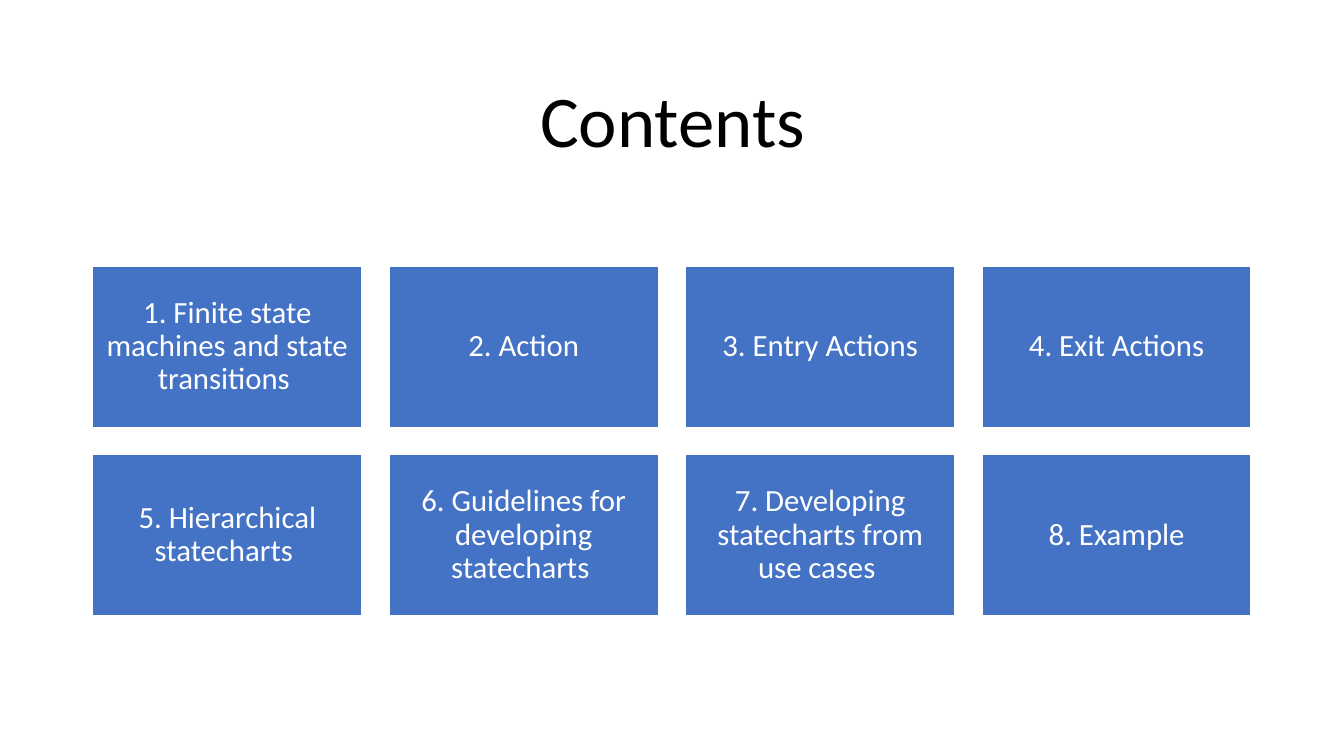
import pptx
import pptx.dml.color
import pptx.enum.shapes
import pptx.enum.text
import pptx.util

Inches = pptx.util.Inches
Pt = pptx.util.Pt
RGBColor = pptx.dml.color.RGBColor

BLACK = RGBColor(0x00, 0x00, 0x00)
WHITE = RGBColor(0xFF, 0xFF, 0xFF)
BLUE = RGBColor(0x44, 0x72, 0xC4)

TOPICS = [
    "1. Finite state machines and state transitions ",
    "2. Action",
    "3. Entry Actions",
    "4. Exit Actions",
    "5. Hierarchical statecharts ",
    "6. Guidelines for developing statecharts ",
    "7. Developing statecharts from use cases ",
    "8. Example",
]
COLUMNS = 4
LEFT, TOP = 0.92, 2.64
CARD_WIDTH, CARD_HEIGHT, GAP = 2.67, 1.6, 0.27


class SlideBuilder:
    font = "Calibri"

    def __init__(self, slide):
        self.slide = slide

    def set_text(self, sp, text, size, color):
        tf = sp.text_frame
        tf.word_wrap = True
        tf.auto_size = pptx.enum.text.MSO_AUTO_SIZE.NONE
        tf.vertical_anchor = pptx.enum.text.MSO_ANCHOR.MIDDLE
        tf.text = text
        p = tf.paragraphs[0]
        p.alignment = pptx.enum.text.PP_ALIGN.CENTER
        p.line_spacing = 0.9
        p.font.name = self.font
        p.font.size = Pt(size)
        p.font.color.rgb = color
        return tf

    def title(self, text, left, top, width, height):
        sp = self.slide.shapes.title
        sp.left, sp.top = Inches(left), Inches(top)
        sp.width, sp.height = Inches(width), Inches(height)
        self.set_text(sp, text, 52, BLACK)

    def card(self, text, left, top, width, height):
        sp = self.slide.shapes.add_shape(
            pptx.enum.shapes.MSO_SHAPE.RECTANGLE,
            Inches(left), Inches(top), Inches(width), Inches(height))
        sp.shadow.inherit = False
        sp.fill.solid()
        sp.fill.fore_color.rgb = BLUE
        sp.line.color.rgb = WHITE
        sp.line.width = Pt(1)
        tf = self.set_text(sp, text, 22, WHITE)
        tf.margin_left = tf.margin_right = Inches(0.09)
        tf.margin_top = tf.margin_bottom = Inches(0.09)


def main():
    prs = pptx.Presentation()
    prs.slide_width, prs.slide_height = Inches(13.33), Inches(7.5)
    s = SlideBuilder(prs.slides.add_slide(prs.slide_layouts[5]))
    s.title("Contents", LEFT, 0.61, 11.5, 1.24)
    for i, topic in enumerate(TOPICS):
        row, column = divmod(i, COLUMNS)
        s.card(topic, LEFT + column * (CARD_WIDTH + GAP),
               TOP + row * (CARD_HEIGHT + GAP), CARD_WIDTH, CARD_HEIGHT)
    prs.save("out.pptx")


if __name__ == "__main__":
    main()
